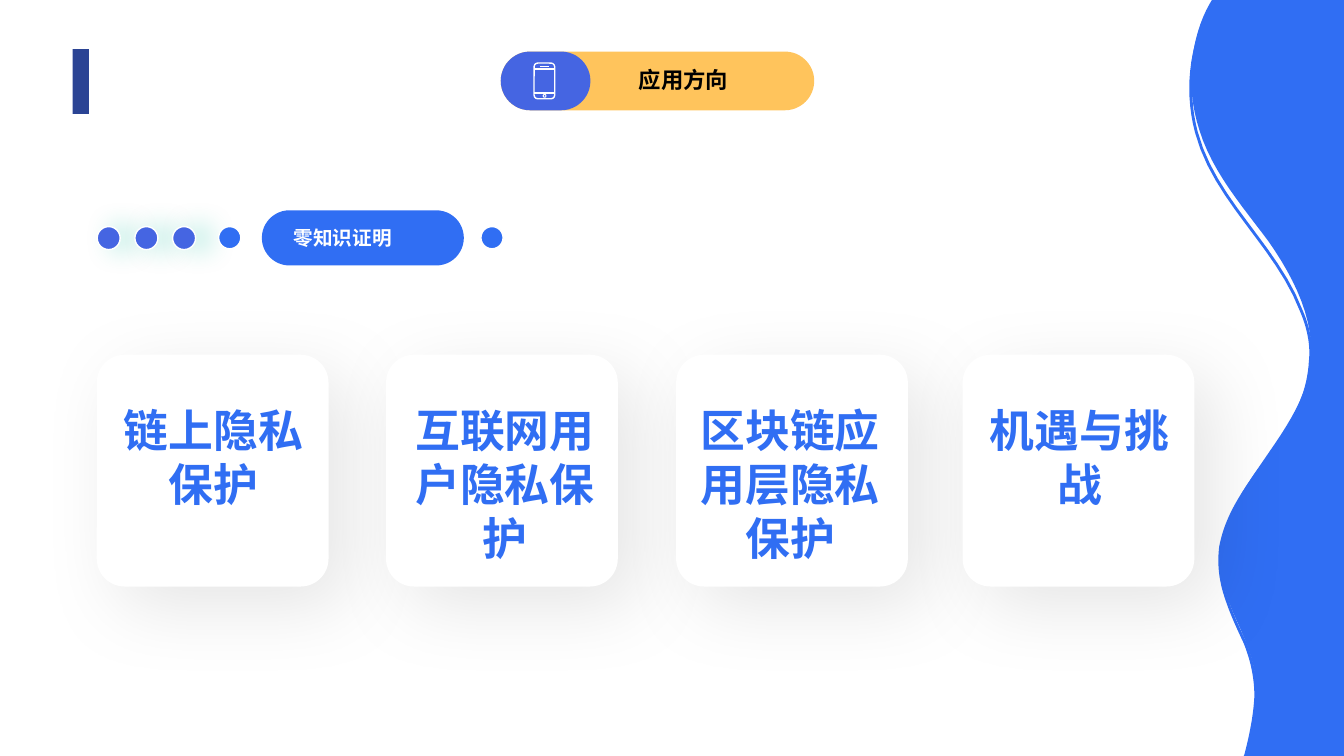
from lxml import etree
from pptx import Presentation
from pptx.dml.color import RGBColor
from pptx.enum.shapes import MSO_CONNECTOR, MSO_SHAPE
from pptx.enum.text import MSO_ANCHOR, MSO_AUTO_SIZE, PP_ALIGN
from pptx.oxml.ns import qn
from pptx.util import Cm, Pt

RECT, ROUND, OVAL = MSO_SHAPE.RECTANGLE, MSO_SHAPE.ROUNDED_RECTANGLE, MSO_SHAPE.OVAL
STRAIGHT = MSO_CONNECTOR.STRAIGHT
CENTER, JUSTIFY = PP_ALIGN.CENTER, PP_ALIGN.JUSTIFY
MIDDLE, TOP = MSO_ANCHOR.MIDDLE, MSO_ANCHOR.TOP
GROW = MSO_AUTO_SIZE.SHAPE_TO_FIT_TEXT

BLUE = RGBColor(0x30, 0x6E, 0xF3)
INDIGO = RGBColor(0x45, 0x65, 0xE2)
NAVY = RGBColor(0x2B, 0x44, 0x94)
AMBER = RGBColor(0xFF, 0xC4, 0x5C)
TEAL = RGBColor(0x06, 0xBB, 0x9A)
WHITE = RGBColor(0xFF, 0xFF, 0xFF)
BLACK = RGBColor(0x00, 0x00, 0x00)

# Shadows: colour, opacity %, blur pt, distance pt, direction in degrees
DOT_SHADOW = (TEAL, 32, 20, 10, 0)
CARD_SHADOW = (BLACK, 10, 56, 20, 45)

# Wave outlines in inches: two numbers draw a line, six draw a Bezier curve
WAVE_FILL = [
    (14.26, -0.43),
    (13.7, -0.36, 13.14, -0.33, 12.59, -0.33), (12.5, -0.33), (12.49, -0.35),
    (12.21, -0.31, 12.01, -0.04, 11.91, 0.24), (11.79, 0.58, 11.79, 0.95, 11.9, 1.29),
    (12.03, 1.71, 12.33, 2.05, 12.59, 2.4), (12.84, 2.76, 13.06, 3.19, 13, 3.63),
    (12.95, 4, 12.71, 4.31, 12.5, 4.62), (12.29, 4.92, 12.08, 5.27, 12.11, 5.64),
    (12.14, 5.99, 12.37, 6.28, 12.44, 6.62), (12.5, 6.93, 12.42, 7.25, 12.34, 7.56),
    (12.33, 7.58, 12.33, 7.61, 12.34, 7.63), (12.35, 7.65, 12.37, 7.66, 12.4, 7.67),
    (12.65, 7.73, 12.92, 7.76, 13.18, 7.76), (13.44, 7.76, 13.71, 7.73, 13.97, 7.66),
    (13.9, 7.41, 13.97, 7.14, 14.09, 6.91), (14.2, 6.67, 14.36, 6.46, 14.46, 6.23),
    (14.68, 5.74, 14.69, 5.18, 14.58, 4.66), (14.47, 4.14, 14.26, 3.66, 14.04, 3.18),
    (13.9, 2.86, 13.75, 2.53, 13.72, 2.18), (13.66, 1.28, 14.42, 0.46, 14.26, -0.43),
]
WAVE_LINE = [
    (14.26, -0.29),
    (13.7, -0.22, 13.14, -0.18, 12.5, -0.19), (12.47, -0.22),
    (12.22, -0.17, 12.03, 0.05, 11.92, 0.29), (11.8, 0.6, 11.78, 0.97, 11.87, 1.31),
    (12.05, 1.99, 12.66, 2.43, 12.91, 3.08), (12.98, 3.24, 13.02, 3.42, 13, 3.59),
    (12.99, 3.77, 12.94, 3.94, 12.86, 4.1), (12.71, 4.41, 12.47, 4.66, 12.3, 4.95),
    (12.21, 5.1, 12.14, 5.26, 12.11, 5.43), (12.09, 5.6, 12.11, 5.76, 12.16, 5.91),
    (12.21, 6.07, 12.28, 6.22, 12.35, 6.37), (12.42, 6.54, 12.46, 6.72, 12.46, 6.91),
    (12.45, 7.1, 12.41, 7.3, 12.36, 7.49), (12.34, 7.53, 12.3, 7.63, 12.36, 7.65),
    (12.63, 7.72, 12.9, 7.76, 13.18, 7.76), (13.44, 7.76, 13.7, 7.73, 13.97, 7.67),
    (13.9, 7.37, 14.01, 7.08, 14.15, 6.83), (14.28, 6.59, 14.45, 6.36, 14.54, 6.09),
    (14.73, 5.56, 14.68, 4.97, 14.52, 4.44), (14.35, 3.88, 14.06, 3.34, 13.85, 2.79),
    (13.76, 2.53, 13.71, 2.26, 13.74, 1.98), (13.77, 1.73, 13.85, 1.5, 13.94, 1.26),
    (14.1, 0.82, 14.36, 0.3, 14.26, -0.29),
]


def trace(outline, steps=12):
    """Turn an outline in inches into points in EMU."""
    points = [outline[0]]
    for segment in outline[1:]:
        if len(segment) == 2:
            points.append(segment)
            continue
        x0, y0 = points[-1]
        x1, y1, x2, y2, x3, y3 = segment
        for step in range(1, steps + 1):
            t = step / steps
            a, b, c, d = (1 - t) ** 3, 3 * t * (1 - t) ** 2, 3 * t * t * (1 - t), t ** 3
            points.append((a * x0 + b * x1 + c * x2 + d * x3,
                           a * y0 + b * y1 + c * y2 + d * y3))
    return [(Cm(x * 2.54), Cm(y * 2.54)) for x, y in points]


class SlidePainter:
    font = "Noto Sans CJK SC"

    def __init__(self, page):
        self.page = page
        self.shapes = page.shapes

    def paint(self, shape, fill, line, width):
        shape.shadow.inherit = False
        if fill is None:
            shape.fill.background()
        else:
            shape.fill.solid()
            shape.fill.fore_color.rgb = fill
        if line is None:
            shape.line.fill.background()
        else:
            shape.line.color.rgb = line
            shape.line.width = Pt(width)

    def shape(self, kind, left, top, width, height, fill=None, line=None,
              line_width=1, corner=None, shadow=None):
        box = self.shapes.add_shape(kind, Cm(left), Cm(top), Cm(width), Cm(height))
        if corner is not None:
            box.adjustments[0] = corner
        self.paint(box, fill, line, line_width)
        if shadow:
            self.cast(box, *shadow)
        return box

    def cast(self, box, color, opacity, blur, distance, direction):
        effects = box._element.spPr.find(qn("a:effectLst"))
        outer = etree.SubElement(effects, qn("a:outerShdw"), blurRad=str(Pt(blur)),
                                 dist=str(Pt(distance)), dir=str(direction * 60000),
                                 algn="ctr", rotWithShape="0")
        tint = etree.SubElement(outer, qn("a:srgbClr"), val=str(color))
        etree.SubElement(tint, qn("a:alpha"), val=str(opacity * 1000))

    def outline(self, outline, fill=None, line=None, line_width=1):
        points = trace(outline)
        builder = self.shapes.build_freeform(*points[0])
        builder.add_line_segments(points[1:], close=True)
        self.paint(builder.convert_to_shape(), fill, line, line_width)

    def rule(self, left, right, y, color, width):
        rule = self.shapes.add_connector(STRAIGHT, Cm(left), Cm(y), Cm(right), Cm(y))
        rule.line.color.rgb = color
        rule.line.width = Pt(width)
        etree.SubElement(rule._element.spPr, qn("a:effectLst"))

    def text_box(self, left, top, width, height, text, **style):
        box = self.shapes.add_textbox(Cm(left), Cm(top), Cm(width), Cm(height))
        self.put_text(box, text, **style)
        box.text_frame.auto_size = GROW

    def put_text(self, box, text, size=16, color=BLACK, align=JUSTIFY, anchor=TOP):
        frame = box.text_frame
        frame.word_wrap = True
        frame.vertical_anchor = anchor
        para = frame.paragraphs[0]
        para.alignment = align
        span = para.add_run()
        span.text = text
        span.font.size = Pt(size)
        span.font.bold = True
        span.font.color.rgb = color
        span.font.name = self.font
        etree.SubElement(span.font._element, qn("a:ea"), typeface=self.font)


def main():
    deck = Presentation()
    deck.slide_width, deck.slide_height = Cm(33.87), Cm(19.05)
    painter = SlidePainter(deck.slides.add_slide(deck.slide_layouts[6]))

    # Corner bar and wave
    painter.shape(RECT, 1.83, 1.24, 0.41, 1.63, NAVY)
    painter.outline(WAVE_FILL, fill=BLUE)
    painter.outline(WAVE_LINE, line=BLUE, line_width=2)

    # Section label with dots
    for index in range(3):
        painter.shape(OVAL, 2.45 + index * 0.95, 5.71, 0.58, 0.58, INDIGO, WHITE,
                      shadow=DOT_SHADOW)
    painter.shape(ROUND, 6.6, 5.3, 5.09, 1.39, BLUE, corner=0.5)
    label = painter.shape(ROUND, 7.01, 5.53, 4.27, 0.94, BLUE, corner=0.5)
    painter.put_text(label, "零知识证明", size=14, color=WHITE, anchor=MIDDLE)
    for left in (5.51, 12.12):
        painter.shape(OVAL, left, 5.71, 0.56, 0.56, BLUE, WHITE)

    # Title pill
    painter.shape(ROUND, 12.62, 1.3, 7.9, 1.48, AMBER, corner=0.5)
    painter.shape(ROUND, 12.62, 1.3, 2.26, 1.48, INDIGO, corner=0.5)
    painter.text_box(15.85, 1.55, 3.18, 0.94, "应用方向")

    # Phone icon
    painter.shape(ROUND, 13.46, 1.59, 0.52, 0.9, line=WHITE, corner=0.18)
    for y in (1.74, 2.34):
        painter.rule(13.46, 13.98, y, WHITE, 1)
    painter.rule(13.61, 13.84, 1.68, WHITE, 0.75)
    painter.shape(OVAL, 13.69, 2.38, 0.07, 0.07, line=WHITE, line_width=0.75)

    # Cards: card left, text left, text height, text
    cards = [
        (2.44, 2.59, 3, "链上隐私保护"),
        (9.73, 9.93, 4.37, "互联网用户隐私保护"),
        (17.04, 17.12, 4.37, "区块链应用层隐私保护"),
        (24.26, 24.41, 3, "机遇与挑战"),
    ]
    for left, *_ in cards:
        painter.shape(ROUND, left, 8.94, 5.84, 5.84, WHITE, corner=0.12,
                      shadow=CARD_SHADOW)
    for _, left, height, text in cards:
        painter.text_box(left, 10.03, 5.59, height, text, size=32, color=BLUE,
                         align=CENTER)

    deck.save("out.pptx")


if __name__ == "__main__":
    main()
